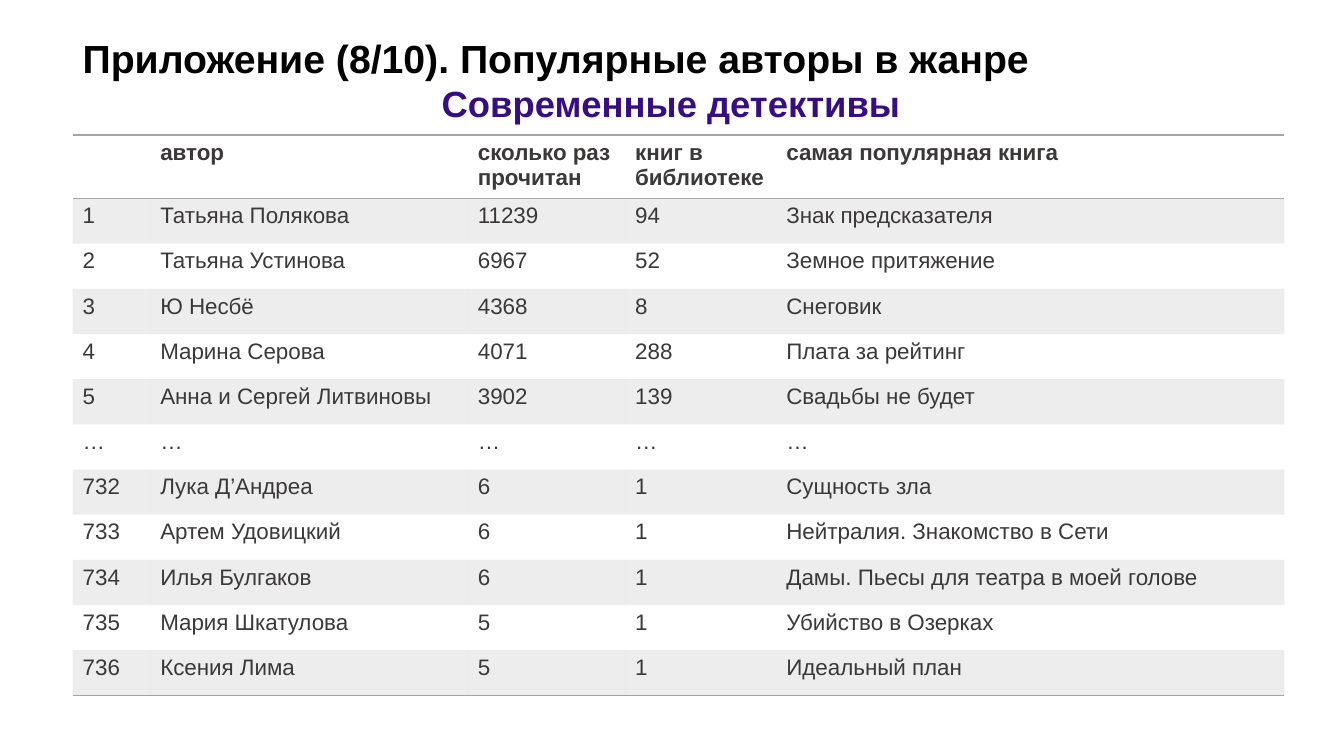
from dataclasses import dataclass

from lxml.etree import SubElement
from pptx import Presentation
from pptx.dml.color import RGBColor
from pptx.enum.text import MSO_ANCHOR as Anchor, MSO_AUTO_SIZE as AutoSize, PP_ALIGN as Align
from pptx.oxml.ns import qn
from pptx.slide import Slide
from pptx.table import _Cell as Cell
from pptx.text.text import _Paragraph as Paragraph
from pptx.util import Inches, Pt


@dataclass(frozen=True)
class Theme:
    font: str = "Arial"
    title_color: str = "000000"
    genre_color: str = "370D86"
    text_color: str = "3B3838"
    accent: str = "A5A5A5"
    band_opacity: int = 20
    title_size: int = 28
    genre_size: int = 26
    table_size: int = 16
    no_grid_style: str = "{2D5ABB26-0587-4C30-8999-92F81FD0307C}"


@dataclass(frozen=True)
class Author:
    rank: str
    name: str
    reads: str
    books: str
    top_book: str

    def values(self) -> list[str]:
        return [self.rank, self.name, self.reads, self.books, self.top_book]


THEME = Theme()
LEFT = 0.72
TABLE_TOP, TABLE_HEIGHT, HEADER_HEIGHT = 1.34, 5.56, 0.63
COLUMN_WIDTHS = [0.77, 3.15, 1.56, 1.5, 5.04]
HEADER = Author("", "автор", "сколько раз прочитан", "книг в библиотеке", "самая популярная книга")
AUTHORS = [
    Author("1", "Татьяна Полякова", "11239", "94", "Знак предсказателя"),
    Author("2", "Татьяна Устинова", "6967", "52", "Земное притяжение"),
    Author("3", "Ю Несбё", "4368", "8", "Снеговик"),
    Author("4", "Марина Серова", "4071", "288", "Плата за рейтинг"),
    Author("5", "Анна и Сергей Литвиновы", "3902", "139", "Свадьбы не будет"),
    Author("…", "…", "…", "…", "…"),
    Author("732", "Лука Д’Андреа", "6", "1", "Сущность зла"),
    Author("733", "Артем Удовицкий", "6", "1", "Нейтралия. Знакомство в Сети"),
    Author("734", "Илья Булгаков", "6", "1", "Дамы. Пьесы для театра в моей голове"),
    Author("735", "Мария Шкатулова", "5", "1", "Убийство в Озерках"),
    Author("736", "Ксения Лима", "5", "1", "Идеальный план"),
]


def format_paragraph(paragraph: Paragraph, size: int, color: str, bold: bool) -> None:
    paragraph.alignment = Align.LEFT
    font = paragraph.font
    font.name = THEME.font
    font.size = Pt(size)
    font.bold = bold
    font.color.rgb = RGBColor.from_string(color)


def add_title(slide: Slide) -> None:
    title = slide.shapes.title
    title.left, title.top = Inches(LEFT), Inches(0.29)
    title.width, title.height = Inches(9.99), Inches(1.04)
    frame = title.text_frame
    frame.word_wrap = True
    frame.auto_size = AutoSize.NONE
    frame.vertical_anchor = Anchor.TOP
    frame.text = "Приложение (8/10). Популярные авторы в жанре\nСовременные детективы"
    heading, genre = frame.paragraphs
    genre_properties = genre._p.get_or_add_pPr()
    genre_properties.set("marL", str(Inches(3.56)))
    genre_properties.set("indent", "0")
    format_paragraph(heading, THEME.title_size, THEME.title_color, True)
    format_paragraph(genre, THEME.genre_size, THEME.genre_color, True)


def add_border(cell: Cell, side: str) -> None:
    line = SubElement(cell._tc.get_or_add_tcPr(), qn(f"a:{side}"), w=str(Pt(1)))
    fill = SubElement(line, qn("a:solidFill"))
    SubElement(fill, qn("a:srgbClr"), val=THEME.accent)


def fill_cell(cell: Cell, banded: bool) -> None:
    if not banded:
        cell.fill.background()
        return
    cell.fill.solid()
    cell.fill.fore_color.rgb = RGBColor.from_string(THEME.accent)
    color = cell._tc.tcPr.find(qn("a:solidFill")).find(qn("a:srgbClr"))
    SubElement(color, qn("a:alpha"), val=str(THEME.band_opacity * 1000))


def add_author_table(slide: Slide) -> None:
    records = [HEADER, *AUTHORS]
    table = slide.shapes.add_table(
        len(records), len(COLUMN_WIDTHS), Inches(LEFT), Inches(TABLE_TOP),
        Inches(sum(COLUMN_WIDTHS)), Inches(TABLE_HEIGHT),
    ).table
    table.first_row = table.horz_banding = False
    table._tbl.tblPr.find(qn("a:tableStyleId")).text = THEME.no_grid_style
    for column, width in zip(table.columns, COLUMN_WIDTHS):
        column.width = Inches(width)
    author_height = (TABLE_HEIGHT - HEADER_HEIGHT) / len(AUTHORS)
    for index, record in enumerate(records):
        is_header = index == 0
        table.rows[index].height = Inches(HEADER_HEIGHT if is_header else author_height)
        for cell, value in zip(table.rows[index].cells, record.values()):
            cell.text = value
            format_paragraph(
                cell.text_frame.paragraphs[0], THEME.table_size, THEME.text_color, is_header
            )
            if is_header:
                add_border(cell, "lnT")
            if is_header or index == len(AUTHORS):
                add_border(cell, "lnB")
            fill_cell(cell, index % 2 == 1)


def main() -> None:
    presentation = Presentation()
    presentation.slide_width, presentation.slide_height = Inches(13.33), Inches(7.5)
    slide = presentation.slides.add_slide(presentation.slide_layouts[5])
    add_title(slide)
    add_author_table(slide)
    presentation.save("out.pptx")


if __name__ == "__main__":
    main()
